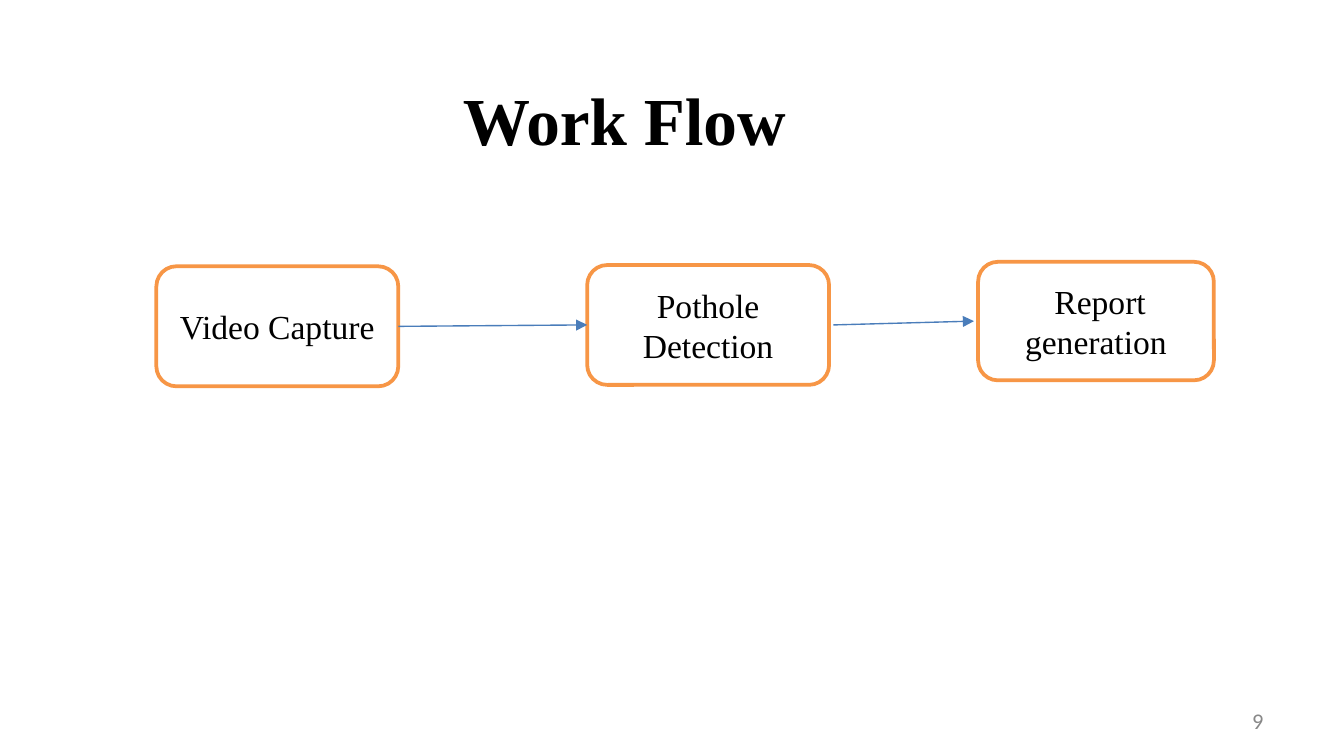
from lxml import etree
from pptx import Presentation
from pptx import util as u
from pptx.dml.color import RGBColor
from pptx.enum import shapes, text
from pptx.oxml.ns import qn

# Content: places are left, top, width, height in points
COLOURS = {"text": "000000", "number": "888888", "fill": "FFFFFF",
           "border": "F79646", "arrow": "4A7DBA"}
TITLE = ("Work Flow", (93.6, 38.9, 481.7, 49.7))
PAGE_NUMBER = ("9", (516.2, 375.1, 167.8, 21.6))
STEPS = [
    ("Video Capture", (83.8, 142.7, 129.6, 64.3)),
    ("Pothole Detection", (314.6, 142, 129.6, 64.2)),
    (" Report generation", (524, 140.3, 126.3, 63.5)),
]
ARROW_GAPS = [0, 2.2]  # space left at both ends of each arrow

TITLE_FONT = {"name": "Times New Roman", "size": u.Pt(36), "bold": True}
STEP_FONT = {"name": "Times New Roman", "size": u.Pt(18), "bold": False}
NUMBER_FONT = {"name": "Calibri", "size": u.Pt(12), "bold": False}
FRAME = {"word_wrap": True, "auto_size": text.MSO_AUTO_SIZE.NONE,
         "vertical_anchor": text.MSO_ANCHOR.MIDDLE,
         "margin_left": u.Pt(7.2), "margin_right": u.Pt(7.2),
         "margin_top": u.Pt(3.6), "margin_bottom": u.Pt(3.6)}


def colour(name):
    return RGBColor.from_string(COLOURS[name])


def set_attributes(target, values):
    for name, value in values.items():
        setattr(target, name, value)


def points(place):
    return [u.Pt(value) for value in place]


def write(shape, words, font, colour_name="text", align=text.PP_ALIGN.CENTER):
    frame = shape.text_frame
    set_attributes(frame, FRAME)
    paragraph = frame.paragraphs[0]
    paragraph.alignment = align
    run = paragraph.add_run()
    run.text = words
    set_attributes(run.font, font)
    run.font.color.rgb = colour(colour_name)


def add_step(slide, words, place):
    box = slide.shapes.add_shape(shapes.MSO_SHAPE.ROUNDED_RECTANGLE, *points(place))
    box.shadow.inherit = False
    box.adjustments[0] = 0.167
    box.fill.solid()
    box.fill.fore_color.rgb = colour("fill")
    box.line.color.rgb = colour("border")
    box.line.width = u.Pt(2)
    write(box, words, STEP_FONT)


def add_arrow(slide, start, end, gap):
    left, top, width, height = start
    next_left, next_top, _, next_height = end
    ends = (left + width + gap, top + height / 2,
            next_left - gap, next_top + next_height / 2)
    arrow = slide.shapes.add_connector(shapes.MSO_CONNECTOR.STRAIGHT, *points(ends))
    arrow.line.color.rgb = colour("arrow")
    arrow.line.width = u.Pt(0.75)
    etree.SubElement(arrow.line._get_or_add_ln(), qn("a:tailEnd"), type="triangle")
    etree.SubElement(arrow._element.spPr, qn("a:effectLst"))


def main():
    presentation = Presentation()
    presentation.slide_width, presentation.slide_height = u.Pt(720), u.Pt(405)
    slide = presentation.slides.add_slide(presentation.slide_layouts[5])

    # Title
    words, place = TITLE
    title = slide.shapes.title
    set_attributes(title, dict(zip(("left", "top", "width", "height"), points(place))))
    write(title, words, TITLE_FONT)

    # Page number
    words, place = PAGE_NUMBER
    number = slide.shapes.add_textbox(*points(place))
    write(number, words, NUMBER_FONT, "number", text.PP_ALIGN.RIGHT)

    # Steps, then an arrow from each step to the next
    for words, place in STEPS:
        add_step(slide, words, place)
    places = [place for _, place in STEPS]
    for start, end, gap in zip(places, places[1:], ARROW_GAPS):
        add_arrow(slide, start, end, gap)

    presentation.save("out.pptx")


if __name__ == "__main__":
    main()
